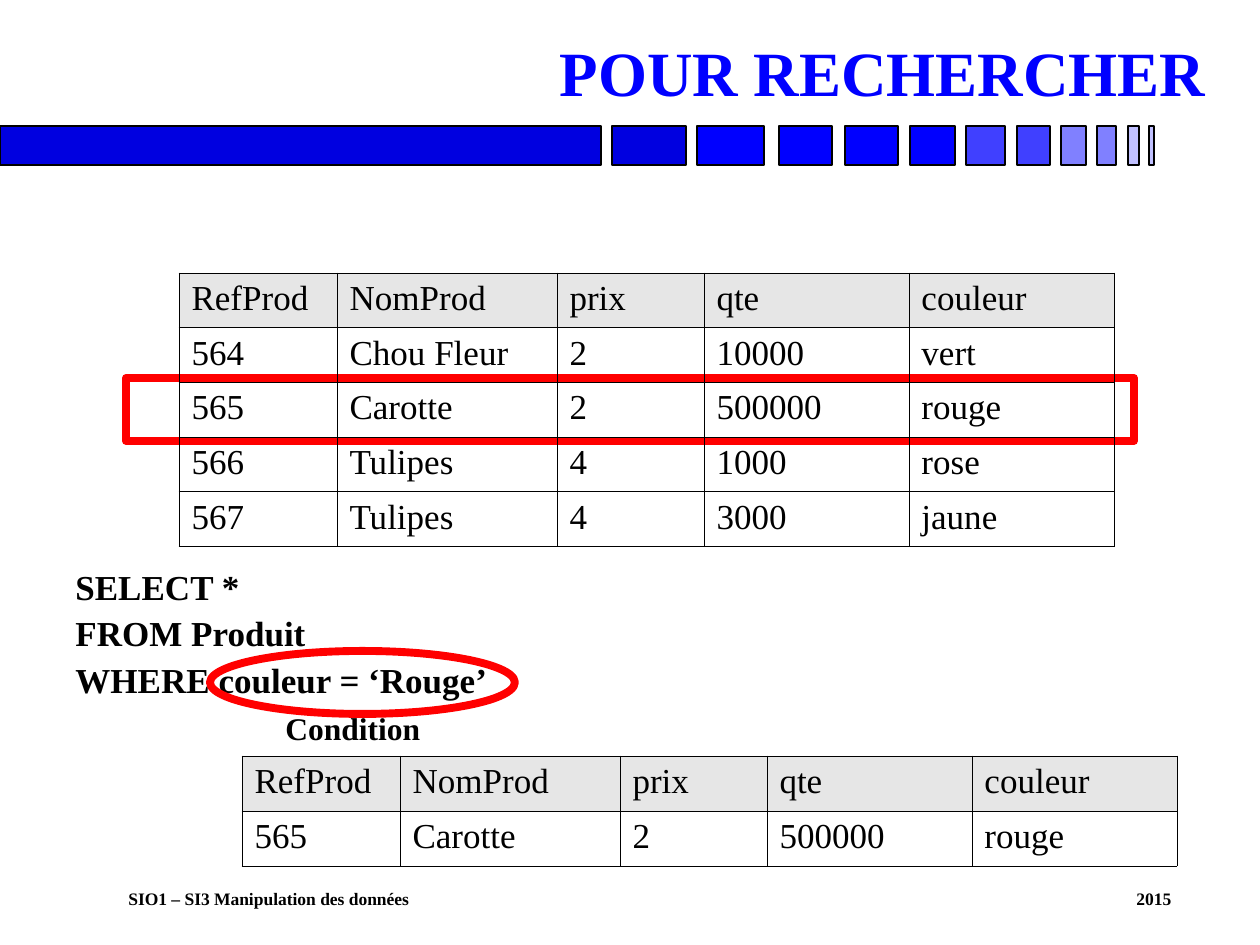
from lxml.etree import SubElement
from pptx import Presentation
from pptx.dml.color import RGBColor
from pptx.enum.shapes import MSO_SHAPE
from pptx.enum.text import MSO_ANCHOR, PP_ALIGN
from pptx.oxml.ns import qn
from pptx.util import Pt

SCALE = 914400 / 126
FONT = "Times New Roman"
BLACK = RGBColor(0x00, 0x00, 0x00)
WHITE = RGBColor(0xFF, 0xFF, 0xFF)
RED = RGBColor(0xFF, 0x00, 0x00)
GREY = RGBColor(0xE6, 0xE6, 0xE6)
NAVY = RGBColor(0x00, 0x00, 0xE0)
BLUE = RGBColor(0x00, 0x00, 0xFF)
MID = RGBColor(0x40, 0x40, 0xFF)
LIGHT = RGBColor(0x80, 0x80, 0xFF)
PALE = RGBColor(0xC0, 0xC0, 0xFF)

BARS = [
    (0, 601, NAVY), (612, 74, NAVY), (697, 67, BLUE), (779, 53, BLUE),
    (845, 53, BLUE), (910, 45, BLUE), (966, 39, MID), (1017, 33, MID),
    (1061, 25, LIGHT), (1097, 19, LIGHT), (1128, 11, PALE), (1149, 5, PALE),
]
COLS = [158, 220, 147, 205, 205]
HEAD = ["RefProd", "NomProd", "prix", "qte", "couleur"]
STOCK = [
    ["564", "Chou Fleur", "2", "10000", "vert"],
    ["565", "Carotte", "2", "500000", "rouge"],
    ["566", "Tulipes", "4", "1000", "rose"],
    ["567", "Tulipes", "4", "3000", "jaune"],
]
FOUND = [row for row in STOCK if row[-1] == "rouge"]
QUERY = ["SELECT *", "FROM Produit", "WHERE couleur = ‘Rouge’"]


def px(size):
    return round(size * SCALE)


class Painter:
    """Draws styled elements on the current slide, with lengths in px."""

    def __init__(self, slide):
        self.slide = slide

    def style(self, par, size, color=BLACK, bold=True):
        for run in par.runs:
            font = run.font
            font.name, font.size, font.bold = FONT, Pt(size), bold
            font.color.rgb = color

    def shape(self, kind, box, fill, line, width):
        item = self.slide.shapes.add_shape(kind, *map(px, box))
        item.shadow.inherit = False
        if fill is None:
            item.fill.background()
        else:
            item.fill.solid()
            item.fill.fore_color.rgb = fill
        item.line.color.rgb = line
        item.line.width = Pt(width)

    def text(self, box, lines, size, color=BLACK, align=PP_ALIGN.LEFT,
             anchor=MSO_ANCHOR.TOP, space=1.0, before=0, tab=None):
        frame = self.slide.shapes.add_textbox(*map(px, box)).text_frame
        frame.word_wrap = True
        frame.vertical_anchor = anchor
        frame.text = "\n".join(lines)
        for num, par in enumerate(frame.paragraphs):
            par.alignment = align
            par.line_spacing = space
            if num:
                par.space_before = Pt(before)
            if tab:
                tabs = SubElement(par._p.get_or_add_pPr(), qn("a:tabLst"))
                SubElement(tabs, qn("a:tab"), pos=str(px(tab)), algn="l")
            self.style(par, size, color)

    def border(self, cell):
        props = cell._tc.get_or_add_tcPr()
        for side in ("lnL", "lnR", "lnT", "lnB"):
            line = SubElement(props, qn(f"a:{side}"), w=str(Pt(0.45)))
            fill = SubElement(line, qn("a:solidFill"))
            SubElement(fill, qn("a:srgbClr"), val=str(BLACK))

    def table(self, left, top, height, rows):
        data = [HEAD] + rows
        box = (left, top, sum(COLS), height)
        grid = self.slide.shapes.add_table(
            len(data), len(COLS), *map(px, box)).table
        grid.first_row = grid.horz_banding = False
        for col, width in zip(grid.columns, COLS):
            col.width = px(width)
        for num, row in enumerate(data):
            grid.rows[num].height = px(height / len(data))
            for cell, word in zip(grid.rows[num].cells, row):
                cell.text = word
                self.style(cell.text_frame.paragraphs[0], 20, bold=False)
                self.border(cell)
                if num:
                    cell.fill.background()
                else:
                    cell.fill.solid()
                    cell.fill.fore_color.rgb = GREY


def main():
    deck = Presentation()
    deck.slide_width, deck.slide_height = px(1260), px(945)
    pen = Painter(deck.slides.add_slide(deck.slide_layouts[6]))
    for left, width, color in BARS:
        pen.shape(MSO_SHAPE.RECTANGLE, (left, 126, width, 39), color, BLACK, 1)
    pen.text((116, 882, 1112, 33),
             ["SIO1 – SI3 Manipulation des données\t2015"], 10, tab=1008)
    pen.shape(MSO_SHAPE.RECTANGLE, (126, 378, 1008, 63), WHITE, RED, 4.5)
    pen.text((31, 29, 1187, 87), ["POUR RECHERCHER"], 36, BLUE,
             PP_ALIGN.RIGHT, MSO_ANCHOR.BOTTOM, 0.9)
    pen.text((63, 567, 483, 147), QUERY, 20, space=0.8, before=7.5)
    pen.table(179, 273, 273, STOCK)
    pen.shape(MSO_SHAPE.OVAL, (210, 651, 305, 63), None, RED, 4.5)
    pen.text((273, 703, 273, 50), ["Condition"], 18)
    pen.table(242, 756, 110, FOUND)
    deck.save("out.pptx")


if __name__ == "__main__":
    main()
